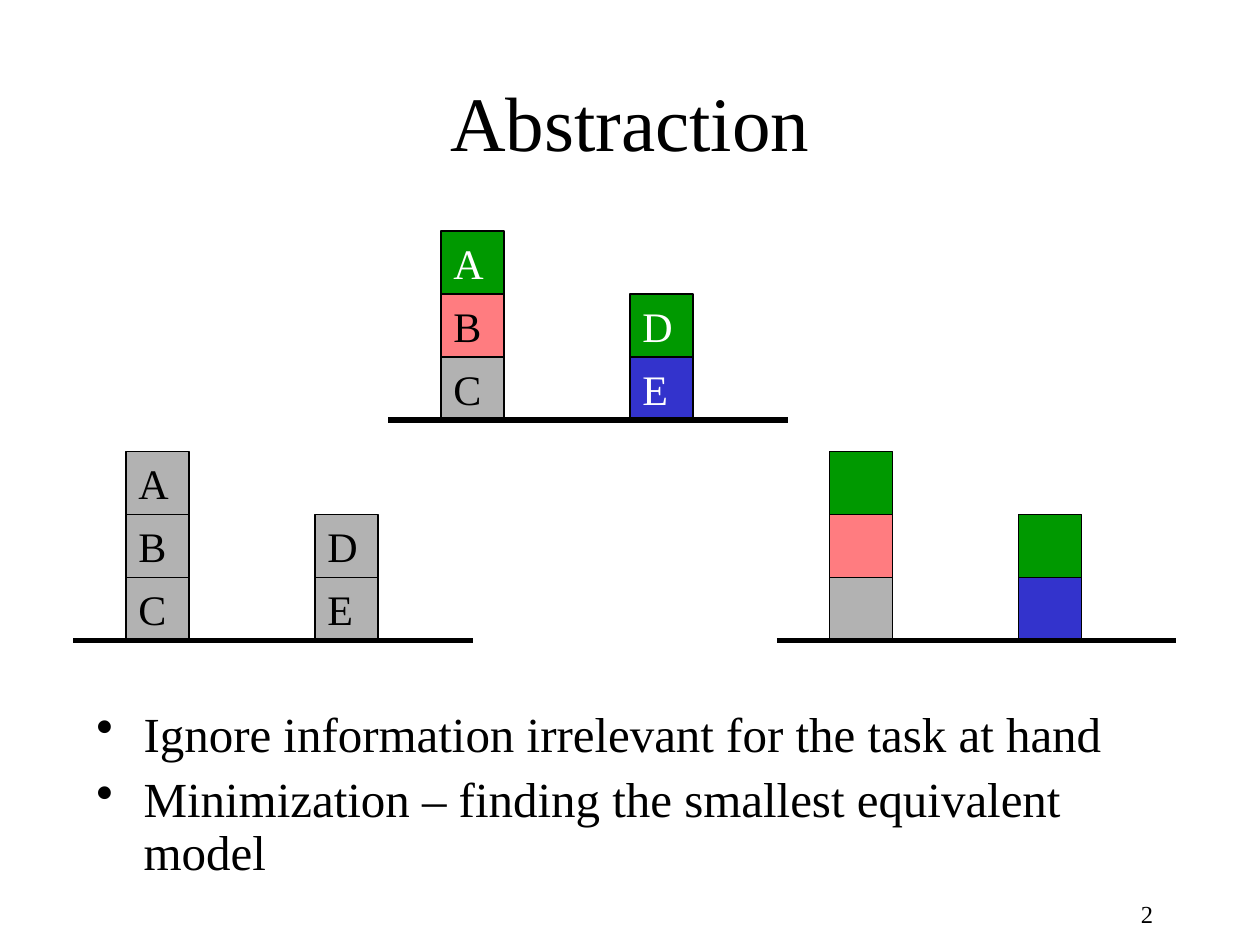
from dataclasses import dataclass

from lxml import etree
from pptx import Presentation
from pptx import util as u
from pptx.dml.color import RGBColor
from pptx.enum import shapes, text
from pptx.oxml import ns

Pt = u.Pt


@dataclass(frozen=True)
class Theme:
    font: str = "Times New Roman"
    black: str = "000000"
    white: str = "FFFFFF"
    green: str = "009900"
    pink: str = "FF7C80"
    gray: str = "B2B2B2"
    blue: str = "3333CC"
    title_size: int = 44
    body_size: int = 28
    label_size: int = 24
    number_size: int = 14
    outline: float = 0.75
    ground: float = 3


THEME = Theme()
BLOCK = 36
GROUND_LENGTH = 228
TOWER_OFFSETS = (30, 138)
TOWERS = ("CBA", "ED")
LETTER_WIDTH = {"A": 0.72, "B": 0.67, "C": 0.67, "D": 0.72, "E": 0.61}
COLORS = {"A": THEME.green, "B": THEME.pink, "C": THEME.gray,
          "D": THEME.green, "E": THEME.blue}
ALL_GRAY = dict.fromkeys(COLORS, THEME.gray)


def write_run(paragraph, words, size, color=THEME.black):
    run = paragraph.add_run()
    run.text = words
    run.font.name = THEME.font
    run.font.size = Pt(size)
    run.font.color.rgb = RGBColor.from_string(color)


def add_text_frame(parent, left, top, width, height, wrap=True):
    frame = parent.add_textbox(Pt(left), Pt(top), Pt(width), Pt(height)).text_frame
    frame.word_wrap = wrap
    return frame


def add_title(slide, words):
    title = slide.shapes.title
    title.left, title.top, title.width, title.height = Pt(54), Pt(24), Pt(612), Pt(90)
    title.text_frame.vertical_anchor = text.MSO_ANCHOR.MIDDLE
    heading = title.text_frame.paragraphs[0]
    heading.alignment = text.PP_ALIGN.CENTER
    write_run(heading, words, THEME.title_size)


def add_block(parent, left, top, color):
    block = parent.add_shape(shapes.MSO_SHAPE.RECTANGLE,
                             Pt(left), Pt(top), Pt(BLOCK), Pt(BLOCK))
    block.shadow.inherit = False
    block.fill.solid()
    block.fill.fore_color.rgb = RGBColor.from_string(color)
    block.line.color.rgb = RGBColor.from_string(THEME.black)
    block.line.width = Pt(THEME.outline)


def add_label(parent, left, top, letter, fill):
    width = 14.4 + THEME.label_size * LETTER_WIDTH[letter]
    frame = add_text_frame(parent, left, top, width, BLOCK, wrap=False)
    frame.auto_size = text.MSO_AUTO_SIZE.SHAPE_TO_FIT_TEXT
    color = THEME.white if fill in (THEME.green, THEME.blue) else THEME.black
    write_run(frame.paragraphs[0], letter, THEME.label_size, color)


def add_ground(parent, left, top):
    ground = parent.add_connector(shapes.MSO_CONNECTOR.STRAIGHT, Pt(left), Pt(top),
                                  Pt(left + GROUND_LENGTH), Pt(top))
    ground.line.color.rgb = RGBColor.from_string(THEME.black)
    ground.line.width = Pt(THEME.ground)
    etree.SubElement(ground._element.spPr, ns.qn("a:effectLst"))


def add_scene(parent, left, ground_top, colors, labelled=True):
    places = [(letter, left + offset, ground_top - BLOCK * level)
              for offset, tower in zip(TOWER_OFFSETS, TOWERS)
              for level, letter in enumerate(tower, start=1)]
    for letter, x, y in places:
        add_block(parent, x, y, colors[letter])
    add_ground(parent, left, ground_top)
    if labelled:
        for letter, x, y in places:
            add_label(parent, x, y, letter, colors[letter])


def add_bullets(slide, points):
    frame = add_text_frame(slide.shapes, 48, 402, 618, 108)
    for index, point in enumerate(points):
        paragraph = frame.add_paragraph() if index else frame.paragraphs[0]
        paragraph.line_spacing = 0.9
        if index:
            paragraph.space_before = Pt(7)
        properties = paragraph._p.get_or_add_pPr()
        properties.set("marL", str(Pt(27)))
        properties.set("indent", str(-Pt(27)))
        etree.SubElement(properties, ns.qn("a:buChar"), char="•")
        write_run(paragraph, point, THEME.body_size)


def add_page_number(slide, number):
    frame = add_text_frame(slide.shapes, 630, 510, 36, 18)
    frame.paragraphs[0].alignment = text.PP_ALIGN.RIGHT
    write_run(frame.paragraphs[0], number, THEME.number_size)


def main():
    deck = Presentation()
    deck.slide_width, deck.slide_height = Pt(720), Pt(540)
    slide = deck.slides.add_slide(deck.slide_layouts[5])
    add_title(slide, "Abstraction")
    add_bullets(slide, ["Ignore information irrelevant for the task at hand",
                        "Minimization – finding the smallest equivalent model"])
    add_scene(slide.shapes.add_group_shape().shapes, 444, 366, COLORS, labelled=False)
    add_scene(slide.shapes, 222, 240, COLORS)
    add_scene(slide.shapes.add_group_shape().shapes, 42, 366, ALL_GRAY)
    add_page_number(slide, "2")
    deck.save("out.pptx")


if __name__ == "__main__":
    main()
